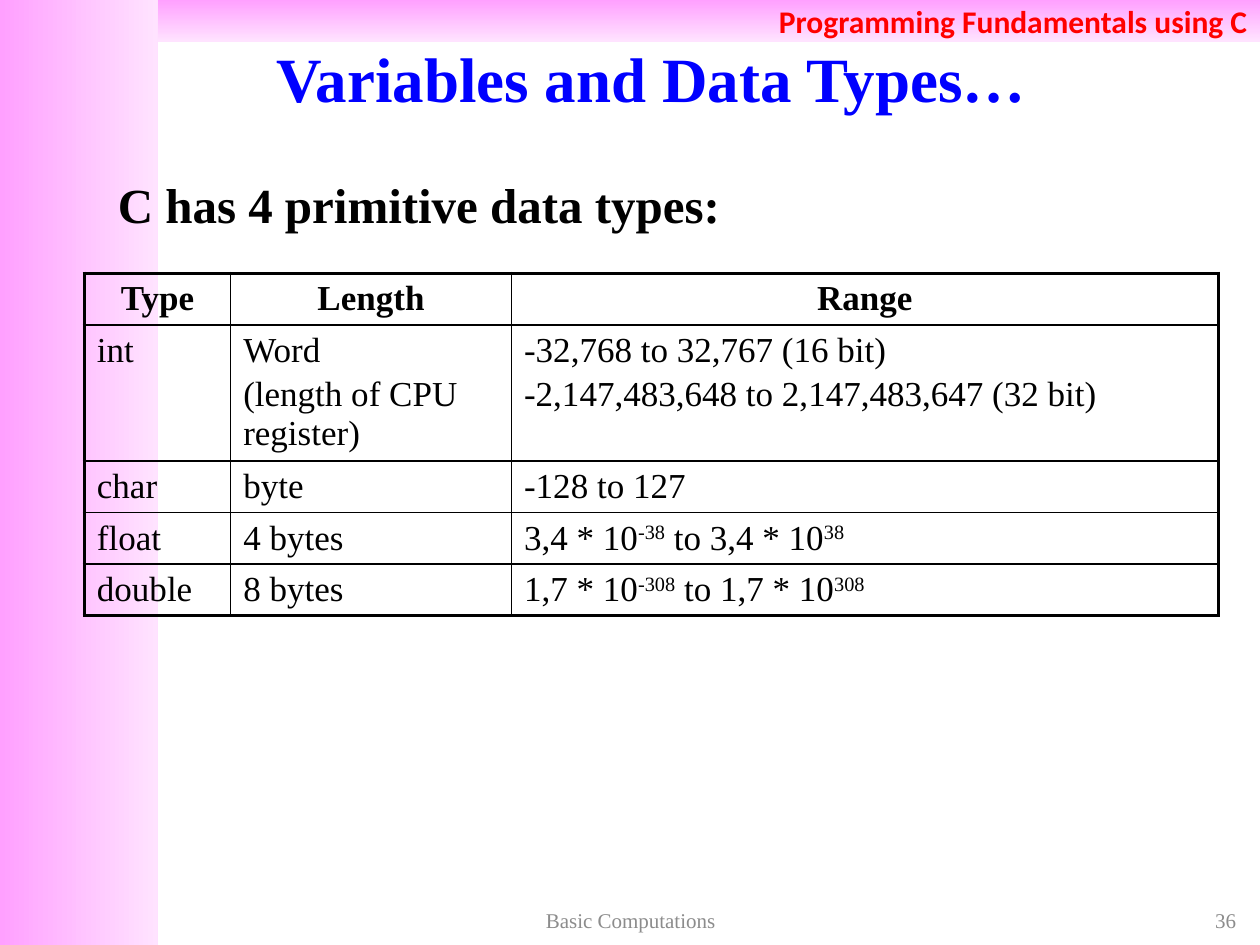
"""Build the slide on the primitive data types of C."""
from lxml import etree
from pptx import Presentation
from pptx.dml.color import RGBColor
from pptx.enum.shapes import MSO_SHAPE
from pptx.enum.text import MSO_ANCHOR, MSO_AUTO_SIZE, PP_ALIGN
from pptx.oxml import parse_xml
from pptx.util import Cm, Pt

LEFT, CENTER, RIGHT, JUSTIFY = PP_ALIGN.LEFT, PP_ALIGN.CENTER, PP_ALIGN.RIGHT, PP_ALIGN.JUSTIFY
TOP, MIDDLE = MSO_ANCHOR.TOP, MSO_ANCHOR.MIDDLE
DRAWING = "http://schemas.openxmlformats.org/drawingml/2006/main"


def rgb(value):
    return RGBColor.from_string(value)


def write(frame, text, size=20, color="000000", bold=False, align=LEFT,
          anchor=TOP, font="Times New Roman", gap=3, first_gap=0):
    frame.word_wrap = True
    frame.vertical_anchor = anchor
    for number, line in enumerate(text.split("\n")):
        paragraph = frame.add_paragraph() if number else frame.paragraphs[0]
        paragraph.alignment = align
        paragraph.space_before = Pt(gap if number else first_gap)
        for position, piece in enumerate(line.split("^")):
            if not piece:
                continue
            run = paragraph.add_run()
            run.text = piece
            run.font.name = font
            run.font.size = Pt(size)
            run.font.bold = bold
            run.font.color.rgb = rgb(color)
            if position % 2:
                run.font._element.set("baseline", "30000")


deck = Presentation()
deck.slide_width, deck.slide_height = Cm(25.4), Cm(19.05)
slide = deck.slides.add_slide(deck.slide_layouts[1])
shapes = slide.shapes
heading, statement = slide.placeholders

bands = []
for left, width, height, angle in ((0, 3.18, 19.05, 0), (3.18, 22.22, 0.84, 270)):
    band = shapes.add_shape(MSO_SHAPE.RECTANGLE, Cm(left), 0, Cm(width), Cm(height))
    band.shadow.inherit = False
    band.line.fill.background()
    band.fill.gradient()
    band.fill.gradient_angle = angle
    for stop, color in zip(band.fill.gradient_stops, ("FFA0FF", "FFE3FF")):
        stop.color.rgb = rgb(color)
    bands.append(band)
write(bands[1].text_frame, "Programming Fundamentals using C", size=18, color="FF0000",
      bold=True, align=RIGHT, anchor=MIDDLE, font="Calibri")

for holder, box in ((heading, (2.12, 0.76, 22.01, 1.58)), (statement, (2.12, 3.39, 21.8, 1.48))):
    holder.left, holder.top, holder.width, holder.height = map(Cm, box)
    holder.text_frame.auto_size = MSO_AUTO_SIZE.NONE
    holder.element.getparent().append(holder.element)
write(heading.text_frame, "Variables and Data Types…", size=36, color="0000FF",
      bold=True, align=CENTER, anchor=MIDDLE)
write(statement.text_frame, "C has 4 primitive data types:", size=28, bold=True,
      align=JUSTIFY, first_gap=4)
statement_format = statement.text_frame.paragraphs[0]._p.get_or_add_pPr()
statement_format.set("marL", "0")
statement_format.set("indent", "0")
etree.SubElement(statement_format, f"{{{DRAWING}}}buNone")

type_rows = (
    ("Type", "Length", "Range"),
    ("int", "Word\n(length of CPU register)",
     "-32,768 to 32,767 (16 bit)\n-2,147,483,648 to 2,147,483,647 (32 bit)"),
    ("char", "byte", "-128 to 127"),
    ("float", "4 bytes", "3,4 * 10^-38^ to 3,4 * 10^38"),
    ("double", "8 bytes", "1,7 * 10^-308^ to 1,7 * 10^308"),
)
column_widths = (2.95, 5.66, 14.25)
row_heights = (1.04, 2.74, 1.04, 1.04, 1.04)
last_row, last_column = len(row_heights) - 1, len(column_widths) - 1
data_types = shapes.add_table(len(row_heights), len(column_widths), Cm(1.7), Cm(5.51),
                              Cm(sum(column_widths)), Cm(sum(row_heights))).table
data_types.first_row = data_types.horz_banding = False
for column, width in zip(data_types.columns, column_widths):
    column.width = Cm(width)
for row, height in zip(data_types.rows, row_heights):
    row.height = Cm(height)

for r, texts in enumerate(type_rows):
    for c, text in enumerate(texts):
        cell = data_types.cell(r, c)
        cell.fill.background()
        write(cell.text_frame, text, bold=r == 0, align=CENTER if r == 0 else LEFT)
        outer_edges = {"L": c == 0, "R": c == last_column, "T": r == 0, "B": r == last_row}
        for order, (side, outer) in enumerate(outer_edges.items()):
            border = parse_xml(
                f'<a:ln{side} xmlns:a="{DRAWING}" w="{Pt(2.25 if outer else 1)}">'
                '<a:solidFill><a:srgbClr val="000000"/></a:solidFill>'
                f'</a:ln{side}>')
            cell._tc.get_or_add_tcPr().insert(order, border)

for text, left, width, align in (("36", 19.25, 5.92, RIGHT),
                                 ("Basic Computations", 8.69, 8.05, CENTER)):
    footer = shapes.add_textbox(Cm(left), Cm(18.21), Cm(width), Cm(0.69))
    write(footer.text_frame, text, size=12, color="8C8C8C", align=align, anchor=MIDDLE)

deck.save("out.pptx")
